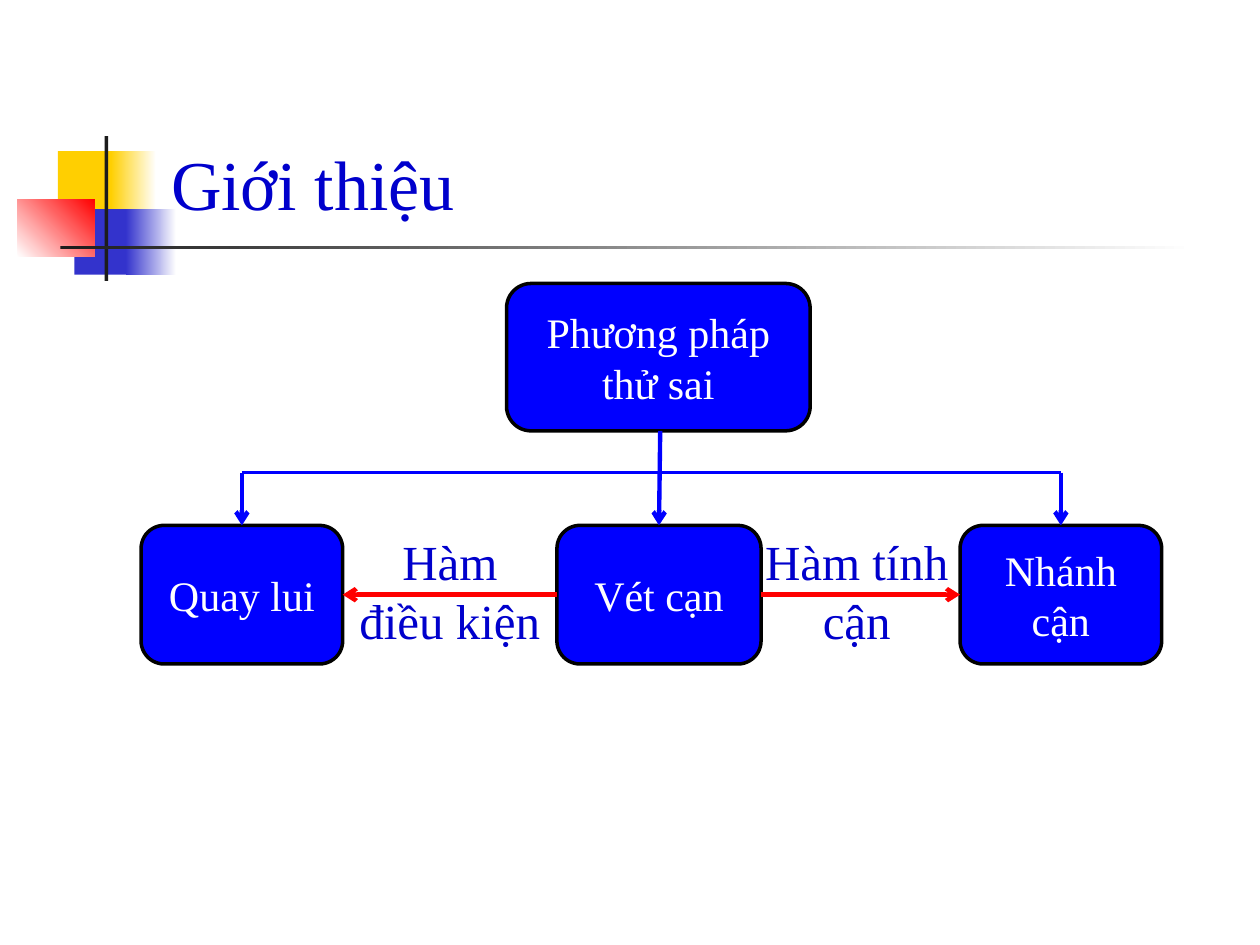
from typing import NamedTuple, Optional

from lxml.etree import SubElement
from pptx import Presentation
from pptx.dml.color import RGBColor
from pptx.enum.shapes import MSO_CONNECTOR, MSO_SHAPE
from pptx.enum.text import MSO_ANCHOR, PP_ALIGN
from pptx.oxml.ns import qn
from pptx.util import Inches, Pt

FONT = "Times New Roman"
WHITE = RGBColor(0xFF, 0xFF, 0xFF)
BLACK = RGBColor(0x00, 0x00, 0x00)
CHARCOAL = RGBColor(0x1C, 0x1C, 0x1C)
YELLOW = RGBColor(0xFF, 0xCF, 0x01)
INDIGO = RGBColor(0x33, 0x33, 0xCC)
RED = RGBColor(0xFF, 0x00, 0x00)
BLUE = RGBColor(0x00, 0x00, 0xFF)
TEXT_BLUE = RGBColor(0x00, 0x00, 0xCC)


class Area(NamedTuple):
    left: float
    top: float
    width: float
    height: float

    @property
    def lengths(self) -> list:
        return [Inches(value) for value in self]


class Block(NamedTuple):
    area: Area
    color: RGBColor
    fade_to: Optional[RGBColor] = None
    angle: float = 0


class Node(NamedTuple):
    area: Area
    text: str


class Line(NamedTuple):
    start: tuple
    end: tuple
    color: RGBColor = BLUE
    width: float = 2.5
    arrow: bool = True


# Decoration beside the title
BLOCKS = [
    Block(Area(0.46, 1.2, 0.48, 0.52), YELLOW),
    Block(Area(0.88, 1.2, 0.36, 0.52), YELLOW, WHITE),
    Block(Area(0.59, 1.66, 0.46, 0.52), INDIGO),
    Block(Area(1, 1.66, 0.4, 0.52), INDIGO, WHITE),
    Block(Area(0.14, 1.58, 0.61, 0.46), WHITE, RED, 45),
    Block(Area(0.83, 1.08, 0.03, 1.15), CHARCOAL),
    Block(Area(0.48, 1.95, 9, 0.03), CHARCOAL, WHITE),
]

# Tree of methods
ROW_TOP, ROW_HEIGHT = 4.17, 1.1
ROW_MIDDLE = ROW_TOP + ROW_HEIGHT / 2
BRANCH_Y = 3.75
NODES = [
    Node(Area(4.02, 2.25, 2.41, 1.17), "Phương pháp thử sai"),
    Node(Area(1.12, ROW_TOP, 1.6, ROW_HEIGHT), "Quay lui"),
    Node(Area(4.42, ROW_TOP, 1.62, ROW_HEIGHT), "Vét cạn"),
    Node(Area(7.62, ROW_TOP, 1.6, ROW_HEIGHT), "Nhánh cận"),
]
LEFT_X, CENTER_X, RIGHT_X = 1.92, 5.23, 8.42
LINES = [
    Line((LEFT_X, BRANCH_Y), (CENTER_X, BRANCH_Y), width=2, arrow=False),
    Line((LEFT_X, BRANCH_Y), (LEFT_X, ROW_TOP)),
    Line((5.24, 3.42), (CENTER_X, ROW_TOP)),
    Line((CENTER_X, BRANCH_Y), (RIGHT_X, BRANCH_Y), width=2, arrow=False),
    Line((RIGHT_X, BRANCH_Y), (RIGHT_X, ROW_TOP)),
    Line((6.04, ROW_MIDDLE), (7.62, ROW_MIDDLE), RED),
    Line((4.42, ROW_MIDDLE), (2.72, ROW_MIDDLE), RED),
]
LABELS = [
    Node(Area(2.72, ROW_TOP, 1.7, 1.04), "Hàm điều kiện"),
    Node(Area(5.97, ROW_TOP, 1.66, 1.04), "Hàm tính cận"),
]


def write_text(shape, text: str, *, size: float, color: RGBColor,
               align=PP_ALIGN.CENTER, anchor=MSO_ANCHOR.TOP) -> None:
    frame = shape.text_frame
    frame.word_wrap = True
    frame.vertical_anchor = anchor
    para = frame.paragraphs[0]
    para.alignment = align
    span = para.add_run()
    span.text = text
    span.font.name = FONT
    span.font.size = Pt(size)
    span.font.color.rgb = color


def draw_block(page, block: Block) -> None:
    shape = page.shapes.add_shape(MSO_SHAPE.RECTANGLE, *block.area.lengths)
    shape.shadow.inherit = False
    shape.line.fill.background()
    if block.fade_to is None:
        shape.fill.solid()
        shape.fill.fore_color.rgb = block.color
        return
    shape.fill.gradient()
    shape.fill.gradient_angle = block.angle
    for stop, color in zip(shape.fill.gradient_stops, (block.color, block.fade_to)):
        stop.color.rgb = color


def draw_node(page, node: Node) -> None:
    box = page.shapes.add_shape(MSO_SHAPE.ROUNDED_RECTANGLE, *node.area.lengths)
    box.shadow.inherit = False
    box.fill.solid()
    box.fill.fore_color.rgb = BLUE
    box.line.color.rgb = BLACK
    box.line.width = Pt(2)
    write_text(box, node.text, size=24, color=WHITE, anchor=MSO_ANCHOR.MIDDLE)


def draw_line(page, line: Line) -> None:
    ends = [Inches(value) for value in (*line.start, *line.end)]
    connector = page.shapes.add_connector(MSO_CONNECTOR.STRAIGHT, *ends)
    connector.line.color.rgb = line.color
    connector.line.width = Pt(line.width)
    if line.arrow:
        SubElement(connector.line._get_or_add_ln(), qn("a:tailEnd"), type="arrow")
    SubElement(connector._element.spPr, qn("a:effectLst"))


def draw_label(page, label: Node) -> None:
    box = page.shapes.add_textbox(*label.area.lengths)
    write_text(box, label.text, size=28, color=TEXT_BLUE)


def main() -> None:
    deck = Presentation()
    deck.slide_width, deck.slide_height = Inches(10), Inches(7.5)
    page = deck.slides.add_slide(deck.slide_layouts[6])

    for block in BLOCKS:
        draw_block(page, block)

    title = page.shapes.add_textbox(*Area(1.26, 0.23, 8.52, 1.6).lengths)
    write_text(title, "Giới thiệu", size=40, color=TEXT_BLUE,
               align=PP_ALIGN.LEFT, anchor=MSO_ANCHOR.BOTTOM)

    for node in NODES:
        draw_node(page, node)
    for line in LINES:
        draw_line(page, line)
    for label in LABELS:
        draw_label(page, label)

    deck.save("out.pptx")


if __name__ == "__main__":
    main()
